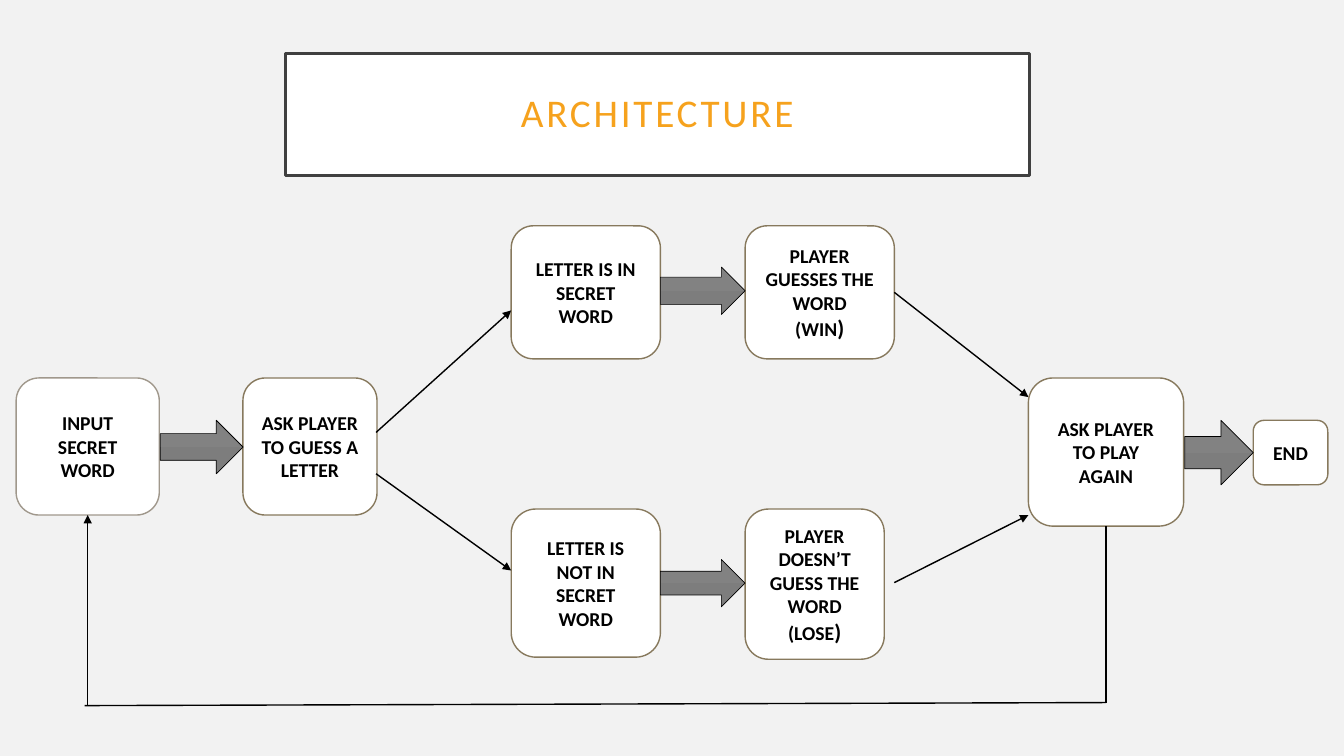
from pptx import Presentation
from pptx.dml.color import RGBColor
from pptx.enum.shapes import MSO_CONNECTOR, MSO_SHAPE
from pptx.enum.text import MSO_ANCHOR, PP_ALIGN
from pptx.oxml.ns import qn
from pptx.util import Inches, Pt
from lxml import etree

RECT = MSO_SHAPE.RECTANGLE
ROUNDED = MSO_SHAPE.ROUNDED_RECTANGLE
RIGHT_ARROW = MSO_SHAPE.RIGHT_ARROW
STRAIGHT = MSO_CONNECTOR.STRAIGHT
MIDDLE = MSO_ANCHOR.MIDDLE
CENTER = PP_ALIGN.CENTER
BOTTOM, RIGHT = 2, 3
FONT = "Calibri"

COLORS = {
    "background": "F2F2F2",
    "white": "FFFFFF",
    "black": "000000",
    "title": "F6A21D",
    "title_border": "404040",
    "input_border": "A0988C",
    "border": "87795D",
    "arrow_top": "828282",
    "arrow_bottom": "7D7D7D",
}

STEPS = {
    "input": (0.16, 3.75, 1.42, 1.36, ["INPUT SECRET WORD"]),
    "guess": (2.41, 3.75, 1.33, 1.36, ["ASK PLAYER TO GUESS A LETTER"]),
    "hit": (5.07, 2.24, 1.48, 1.32, ["LETTER IS IN SECRET WORD"]),
    "miss": (5.07, 5.05, 1.48, 1.47, ["LETTER IS NOT IN SECRET WORD"]),
    "win": (7.39, 2.24, 1.48, 1.32, ["PLAYER GUESSES THE WORD", "(WIN"]),
    "lose": (7.39, 5.05, 1.38, 1.49, ["PLAYER DOESN’T GUESS THE WORD", "(LOSE"]),
    "again": (10.2, 3.75, 1.54, 1.47, ["ASK PLAYER TO PLAY AGAIN"]),
    "end": (12.43, 4.17, 0.74, 0.64, ["END"]),
}

BLOCK_ARROWS = [
    (1.59, 4.17, 0.82, 0.53, 0.5),
    (6.55, 2.65, 0.84, 0.47, 0.575),
    (6.55, 5.55, 0.84, 0.47, 0.5),
    (11.75, 4.17, 0.68, 0.64, 0.5),
]


def rgb(name):
    return RGBColor.from_string(COLORS[name])


def add_shape(s, kind, box, border, width):
    sp = s.shapes.add_shape(kind, *(Inches(v) for v in box))
    sp.shadow.inherit = False
    sp.fill.solid()
    sp.fill.fore_color.rgb = rgb("white")
    sp.line.color.rgb = rgb(border)
    sp.line.width = Pt(width)
    return sp


def format_run(r, size, color, bold):
    r.font.name = FONT
    r.font.size = Pt(size)
    r.font.bold = bold
    r.font.color.rgb = rgb(color)


def add_text(sp, lines, size, color, bold):
    tf = sp.text_frame
    tf.word_wrap = True
    tf.vertical_anchor = MIDDLE
    tf.text = "\n".join(lines)
    for p in tf.paragraphs:
        p.alignment = CENTER
        format_run(p.runs[0], size, color, bold)
    return tf


def add_title(s):
    sp = add_shape(s, RECT, (2.83, 0.53, 7.38, 1.21), "title_border", 2.5)
    tf = add_text(sp, ["ARCHITECTURE"], 28, "title", False)
    tf.margin_left = tf.margin_right = Inches(0.2)
    tf.margin_top = tf.margin_bottom = Inches(0.2)
    p = tf.paragraphs[0]
    p.line_spacing = 0.9
    p.runs[0].font._element.set("spc", "200")


def add_step(s, name):
    *box, lines = STEPS[name]
    border = "input_border" if name == "input" else "border"
    sp = add_shape(s, ROUNDED, box, border, 1)
    tf = add_text(sp, lines, 14, "black", True)
    if len(lines) > 1:
        r = tf.paragraphs[-1].add_run()
        r.text = ")"
        format_run(r, 16, "black", True)
    return sp


def add_block_arrow(s, x, y, w, h, shaft):
    sp = add_shape(s, RIGHT_ARROW, (x, y, w, h), "black", 0.5)
    sp.adjustments[0] = shaft
    sp.fill.gradient()
    sp.fill.gradient_angle = 270
    for stop, color in zip(sp.fill.gradient_stops, ("arrow_top", "arrow_bottom")):
        stop.color.rgb = rgb(color)


def add_line(s, start, end, arrow=True):
    points = (Inches(v) for v in (*start, *end))
    line = s.shapes.add_connector(STRAIGHT, *points)
    line.line.color.rgb = rgb("black")
    line.line.width = Pt(1)
    if arrow:
        tail = etree.SubElement(line.line._get_or_add_ln(), qn("a:tailEnd"))
        tail.set("type", "triangle")
    etree.SubElement(line._element.spPr, qn("a:effectLst"))
    return line


def main():
    prs = Presentation()
    prs.slide_width = Inches(13.33)
    prs.slide_height = Inches(7.5)
    s = prs.slides.add_slide(prs.slide_layouts[6])
    s.background.fill.solid()
    s.background.fill.fore_color.rgb = rgb("background")

    add_title(s)
    steps = {name: add_step(s, name) for name in STEPS}
    for block_arrow in BLOCK_ARROWS:
        add_block_arrow(s, *block_arrow)

    add_line(s, (3.73, 4.29), (5.07, 3.08))
    add_line(s, (3.73, 4.7), (5.07, 5.66))
    win_line = add_line(s, (8.87, 2.9), (10.2, 3.94))
    win_line.begin_connect(steps["win"], RIGHT)
    add_line(s, (8.87, 5.78), (10.2, 5.11))

    down_line = add_line(s, (10.97, 5.22), (10.97, 6.97), arrow=False)
    down_line.begin_connect(steps["again"], BOTTOM)
    add_line(s, (10.97, 6.97), (0.84, 7), arrow=False)
    up_line = add_line(s, (0.87, 7), (0.87, 5.11))
    up_line.end_connect(steps["input"], BOTTOM)

    prs.save("out.pptx")


if __name__ == "__main__":
    main()
